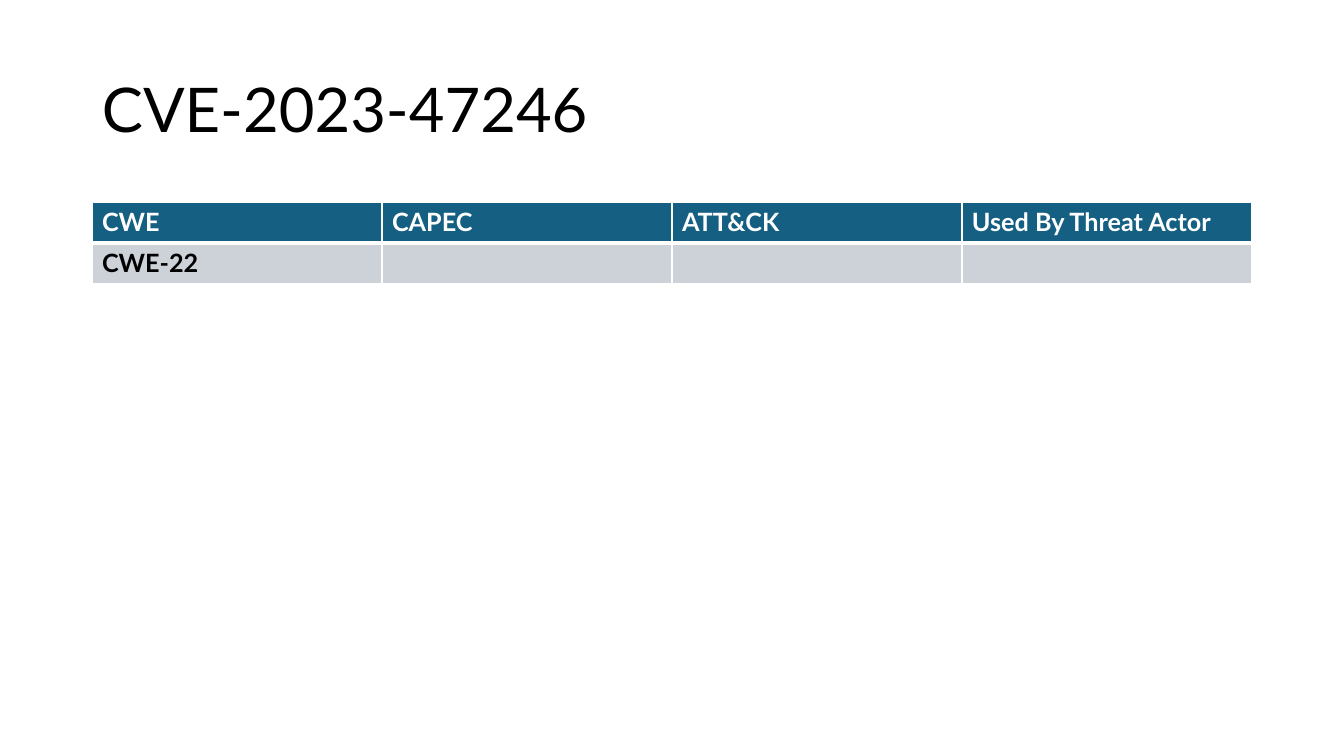
from lxml.etree import SubElement
from pptx import Presentation
from pptx.dml.color import RGBColor
from pptx.enum.text import MSO_ANCHOR
from pptx.oxml.ns import qn
from pptx.util import Emu, Pt

EMU_PER_PX = 914400 / 100.8
FONT = "Lato"

BLACK = RGBColor(0x00, 0x00, 0x00)
WHITE = RGBColor(0xFF, 0xFF, 0xFF)
HEADER_BLUE = RGBColor(0x15, 0x60, 0x82)
BODY_GREY = RGBColor(0xCC, 0xD2, 0xD8)

TITLE_FORMAT = {"name": FONT, "size": Pt(44), "bold": False}
CELL_FORMAT = {"name": FONT, "size": Pt(18), "bold": True}

ROWS = [
    ["CWE", "CAPEC", "ATT&CK", "Used By Threat Actor"],
    ["CWE-22", "", "", ""],
]
# Fill, text colour and border widths in points for each row
ROW_STYLES = [
    (HEADER_BLUE, WHITE, {"lnL": 1, "lnR": 1, "lnT": 1, "lnB": 3}),
    (BODY_GREY, BLACK, {"lnL": 1, "lnR": 1, "lnT": 3, "lnB": 1}),
]


def px(length):
    return Emu(round(length * EMU_PER_PX))


def format_font(font, values, color):
    for name, value in values.items():
        setattr(font, name, value)
    font.color.rgb = color


def add_title(slide, text, left, top, width, height):
    shape = slide.shapes.add_textbox(px(left), px(top), px(width), px(height))
    frame = shape.text_frame
    frame.word_wrap = True
    frame.vertical_anchor = MSO_ANCHOR.MIDDLE
    paragraph = frame.paragraphs[0]
    paragraph.line_spacing = 0.9
    run = paragraph.add_run()
    run.text = text
    format_font(run.font, TITLE_FORMAT, BLACK)


def set_borders(cell, widths):
    properties = cell._tc.get_or_add_tcPr()
    for position, (side, width) in enumerate(widths.items()):
        line = SubElement(properties, qn(f"a:{side}"), w=str(Pt(width)))
        fill = SubElement(line, qn("a:solidFill"))
        SubElement(fill, qn("a:srgbClr"), val=str(WHITE))
        # Border lines must come before the cell fill
        properties.insert(position, line)


def add_table(slide, rows, left, top, column_width, row_height):
    column_count = len(rows[0])
    table = slide.shapes.add_table(
        len(rows), column_count, px(left), px(top),
        px(column_width * column_count), px(row_height * len(rows)),
    ).table
    for column in table.columns:
        column.width = px(column_width)
    for row, texts, (fill, color, borders) in zip(table.rows, rows, ROW_STYLES):
        row.height = px(row_height)
        for cell, text in zip(row.cells, texts):
            cell.fill.solid()
            cell.fill.fore_color.rgb = fill
            set_borders(cell, borders)
            paragraph = cell.text_frame.paragraphs[0]
            format_font(paragraph.font, CELL_FORMAT, color)
            if text:
                run = paragraph.add_run()
                run.text = text
                format_font(run.font, CELL_FORMAT, color)


def main():
    presentation = Presentation()
    presentation.slide_width = px(1344)
    presentation.slide_height = px(756)
    slide = presentation.slides.add_slide(presentation.slide_layouts[6])

    # Title
    add_title(slide, "CVE-2023-47246", 92, 40, 1160, 146)

    # Weakness mapping table
    add_table(slide, ROWS, 92, 202, 290, 41)

    presentation.save("out.pptx")


if __name__ == "__main__":
    main()
